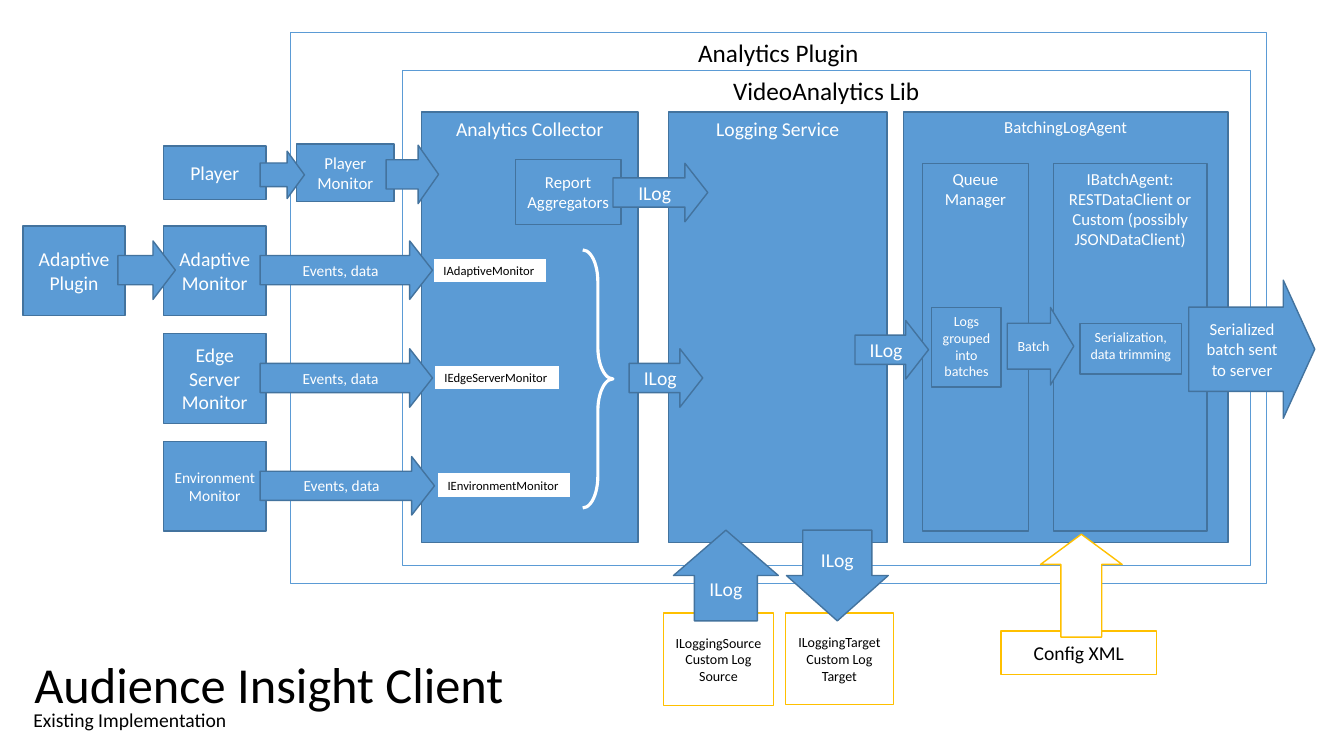
from dataclasses import dataclass
from pptx import Presentation
from pptx.dml.color import RGBColor as Color
from pptx.enum.shapes import MSO_SHAPE as Kind
from pptx.enum.text import MSO_ANCHOR as Anchor, MSO_AUTO_SIZE as Fit, PP_ALIGN as Align
from pptx.util import Inches, Pt

CELL = Inches(0.1)


@dataclass(frozen=True)
class Look:
    """Fill, line and text colours of one sort of item."""
    fill: str
    line: str
    ink: str
    width: float = 1


@dataclass(frozen=True)
class Theme:
    """Colours and type sizes of the slide."""
    font: str = "Calibri"
    ink: str = "000000"
    block: Look = Look("5B9BD5", "43739E", "FFFFFF")
    frame: Look = Look("FFFFFF", "5B9BD5", "000000")
    gold: Look = Look("FFFFFF", "FFC000", "000000")
    brace: Look = Look("", "FFFFFF", "FFFFFF", 2.25)
    title: int = 36
    head: int = 18
    large: int = 14
    mid: int = 12
    flow: int = 11
    small: int = 10
    tag: int = 9


T = Theme()


@dataclass(frozen=True)
class Box:
    """A region of the slide, in grid cells."""
    left: float
    top: float
    width: float
    height: float

    def inner(self, left, top, width, height):
        """Return a box placed from this box's corner."""
        return Box(self.left + left, self.top + top, width, height)

    def place(self, shape):
        """Move and size a shape to fill this box."""
        shape.left, shape.top, shape.width, shape.height = (
            int(n * CELL) for n in (self.left, self.top, self.width, self.height))


def write(frame, text, size=T.large, ink=T.ink, align=Align.CENTER,
          anchor=Anchor.MIDDLE, wrap=True, fit=Fit.NONE):
    """Set the text of a frame, one paragraph a line."""
    frame.text = text
    frame.word_wrap, frame.auto_size, frame.vertical_anchor = wrap, fit, anchor
    for para in frame.paragraphs:
        para.alignment, para.space_before = align, Pt(0)
        for run in para.runs:
            run.font.name, run.font.size = T.font, Pt(size)
            run.font.color.rgb = Color.from_string(ink)


def put(slide, box, text="", kind=Kind.RECTANGLE, look=T.block, adjust=(), **form):
    """Add one preset shape with its look and text."""
    shape = slide.shapes.add_shape(kind, 0, 0, CELL, CELL)
    box.place(shape)
    shape.shadow.inherit = False
    for i, share in enumerate(adjust):
        shape.adjustments[i] = share
    if look.fill:
        shape.fill.solid()
        shape.fill.fore_color.rgb = Color.from_string(look.fill)
    else:
        shape.fill.background()
    shape.line.color.rgb = Color.from_string(look.line)
    shape.line.width = Pt(look.width)
    if text:
        write(shape.text_frame, text, ink=look.ink, **form)


def arrow(slide, box, text="", adjust=(0.5, 0.39), **form):
    """Add an arrow that points right."""
    put(slide, box, text, Kind.RIGHT_ARROW, adjust=adjust, **form)


def frames(slide, box):
    """Draw the nested plugin and library frames."""
    for spot, text in ((box, "Analytics Plugin"),
                       (box.inner(11.1, 3.8, 84.1, 49.1), "VideoAnalytics Lib")):
        put(slide, spot, text, look=T.frame, size=T.head, anchor=Anchor.TOP)


def logging(slide, box):
    """Draw the logging service with its custom source and target."""
    put(slide, box.inner(0.5, 0, 21.7, 42.7), "Logging Service", anchor=Anchor.TOP)
    for left, width, height, end in ((0, 10.9, 9.2, "Source"), (12.1, 10.7, 9.1, "Target")):
        put(slide, box.inner(left, 49.7, width, height), f"ILogging{end}\nCustom Log\n{end}",
            look=T.gold, size=T.small)
    put(slide, box.inner(1, 41.5, 10.4, 9), "ILog", Kind.UP_ARROW, adjust=(0.6, 0.5))
    put(slide, box.inner(12.2, 41.5, 10.1, 9), "ILog", Kind.DOWN_ARROW, adjust=(0.68, 0.5))


def batching(slide, box):
    """Draw the batching agent, its steps and its settings."""
    top = dict(anchor=Anchor.TOP)
    put(slide, box.inner(4.8, 0, 32.2, 42.7), "BatchingLogAgent", size=T.mid, **top)
    put(slide, box.inner(6.7, 5.1, 10.5, 36.5), "Queue\nManager", size=T.mid, **top)
    put(slide, box.inner(19.7, 5.1, 15.2, 36.5),
        "IBatchAgent:\nRESTDataClient or\nCustom (possibly JSONDataClient)", size=T.mid, **top)
    arrow(slide, box.inner(15.1, 19.4, 6.6, 7.7), "Batch", (0.59, 0.35), size=T.small)
    arrow(slide, box.inner(33.1, 16.7, 12.5, 13.7), "Serialized batch sent to server",
          (0.61, 0.25), size=T.mid)
    put(slide, box.inner(22.3, 21, 10.1, 5), "Serialization, data trimming", size=T.small, **top)
    put(slide, box.inner(7.6, 19.4, 6.9, 7.9), "Logs grouped into batches", size=T.small, **top)
    arrow(slide, box.inner(0, 20.7, 7.3, 5.8), "ILog")
    put(slide, box.inner(14.5, 51.5, 15.4, 4.3), "Config XML", look=T.gold)
    put(slide, box.inner(18.4, 41.9, 8.1, 10.2), kind=Kind.UP_ARROW, look=T.gold,
        adjust=(0.5, 0.37))


def collect(slide, box):
    """Draw the collector with its interfaces and outputs."""
    put(slide, box.inner(0, 0, 21.5, 42.7), "Analytics Collector", anchor=Anchor.TOP)
    put(slide, box.inner(9.3, 4.7, 10.5, 6.5), "Report Aggregators", size=T.mid)
    arrow(slide, box.inner(19, 5.1, 9.4, 5.8), "ILog")
    arrow(slide, box.inner(20.6, 23.5, 7.3, 5.8), "ILog")
    for left, top, width, name in ((1.2, 14.5, 11.2, "Adaptive"),
                                   (1.3, 25.1, 12.4, "EdgeServer"),
                                   (1.6, 35.8, 13.2, "Environment")):
        put(slide, box.inner(left, top, width, 2.5), f"I{name}Monitor", look=T.frame,
            size=T.tag, align=Align.LEFT, anchor=Anchor.TOP, wrap=False, fit=Fit.SHAPE_TO_FIT_TEXT)
    put(slide, box.inner(16, 13.7, 3, 25.6), kind=Kind.RIGHT_BRACE, look=T.brace,
        adjust=(1.05, 0.5))


def sources(slide, box):
    """Draw the player, the plugin and the rows of monitors."""
    put(slide, box.inner(0, 8.1, 10.1, 8.9), "Adaptive Plugin")
    put(slide, box.inner(13.9, 0.2, 10.2, 5.3), "Player")
    put(slide, box.inner(27.1, 0, 9.7, 5.7), "Player Monitor", size=T.mid)
    rows = (("Adaptive", T.large, 17.1), ("Edge Server", T.large, 17.1),
            ("Environment", T.flow, 17.3))
    for i, (name, size, reach) in enumerate(rows):
        top = 8.1 + 10.7 * i
        put(slide, box.inner(13.9, top, 10.2, 8.9), f"{name} Monitor", size=size)
        arrow(slide, box.inner(23.5, top + 1.5, reach, 5.8), "Events, data", size=T.flow)
    for spot in ((23.5, 0.7, 4.4, 4.7), (36, 0.1, 5.2, 5.8), (9.4, 9.6, 5.7, 5.8)):
        arrow(slide, box.inner(*spot))


def heading(slide, box):
    """Fill the title and subtitle placeholders."""
    title, body = slide.placeholders
    for shape, spot, text, size in (
            (title, (0.1, 0, 54.2, 7.1), "Audience Insight Client", T.title),
            (body, (0, 5.4, 21.5, 3.4), "Existing Implementation", T.large)):
        box.inner(*spot).place(shape)
        write(shape.text_frame, text, size=size, align=Align.LEFT, anchor=Anchor.TOP)


def main():
    """Build the slide and save it."""
    deck = Presentation()
    deck.slide_width, deck.slide_height = Inches(13.33), Inches(7.5)
    slide = deck.slides.add_slide(deck.slide_layouts[0])
    for draw, box in ((heading, Box(2.3, 64.3, 54.3, 8.8)),
                      (frames, Box(28.8, 3.2, 96.8, 54.7)),
                      (logging, Box(65.8, 11.1, 22.8, 58.9)),
                      (batching, Box(84.8, 11.1, 45.6, 55.8)),
                      (collect, Box(41.8, 11.1, 28.4, 42.7)),
                      (sources, Box(2.3, 14.3, 41.2, 38.4))):
        draw(slide, box)
    deck.save("out.pptx")


main()
